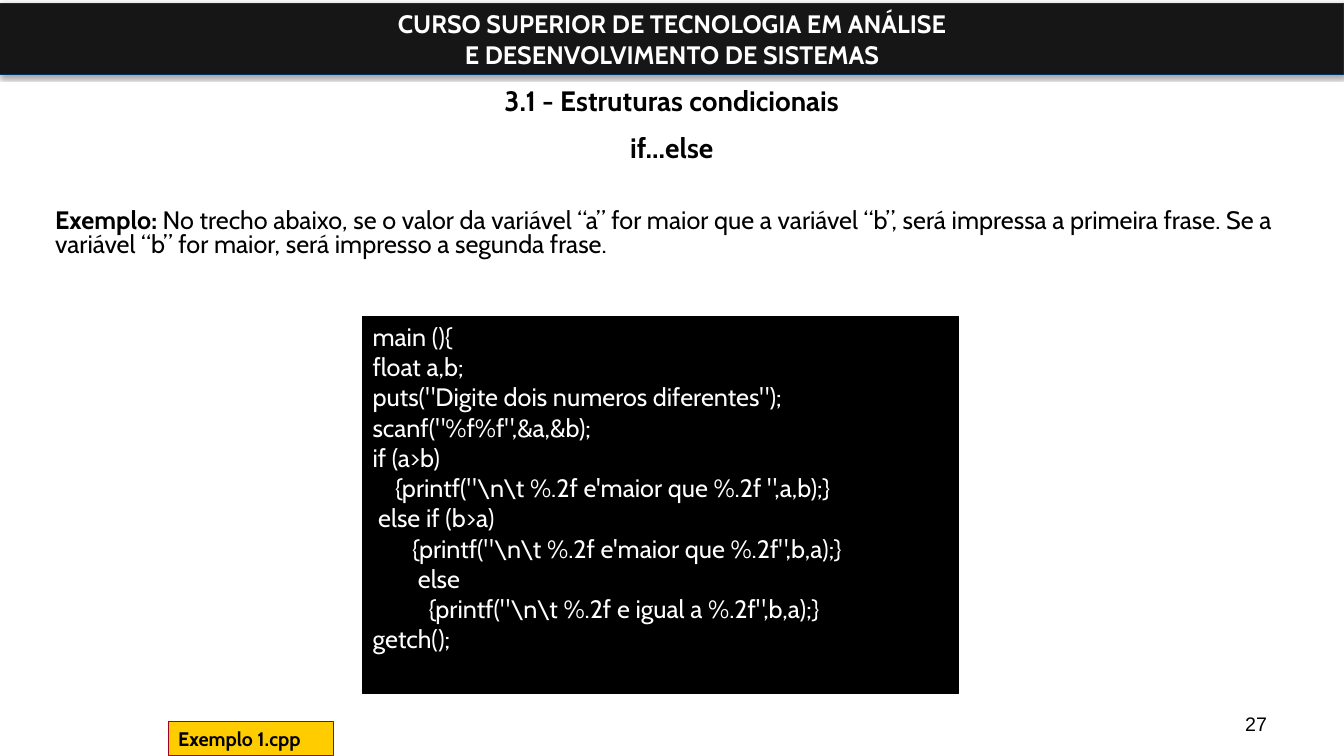
from lxml.etree import SubElement
from pptx import Presentation
from pptx.dml.color import RGBColor
from pptx.enum.shapes import MSO_SHAPE as Kind
from pptx.enum.text import MSO_ANCHOR as Anchor, PP_ALIGN as Align
from pptx.oxml.ns import qn
from pptx.util import Cm, Pt

BLACK = RGBColor(0, 0, 0)
WHITE = RGBColor(255, 255, 255)
COAL = RGBColor(0x16, 0x16, 0x16)
NAVY = RGBColor(0x00, 0x32, 0x64)
GOLD = RGBColor(0xFF, 0xCC, 0x00)
WINE = RGBColor(0xA5, 0x00, 0x21)

COURSE = ["CURSO SUPERIOR DE TECNOLOGIA EM ANÁLISE", "E DESENVOLVIMENTO DE SISTEMAS"]
TITLE = ["3.1 - Estruturas condicionais", "if...else"]
LABEL = "Exemplo:"
BODY = (" No trecho abaixo, se o valor da variável “a” for maior que a variável “b”, "
        "será impressa a primeira frase. Se a variável “b” for maior, "
        "será impresso a segunda frase.")
CODE = [
    "main (){",
    "float a,b;",
    'puts("Digite dois numeros diferentes");',
    'scanf("%f%f",&a,&b);',
    "if (a>b)",
    r"""    {printf("\n\t %.2f e'maior que %.2f ",a,b);}""",
    " else if (b>a)",
    r"""       {printf("\n\t %.2f e'maior que %.2f",b,a);}""",
    "        else",
    "\t" + r' {printf("\n\t %.2f e igual a %.2f",b,a);}',
    "getch();",
]


def style(para, size, color=BLACK, bold=False, font="Cabin"):
    for run in para.runs:
        run.font.name = font
        run.font.size = Pt(size)
        run.font.bold = bold
        run.font.color.rgb = color


def write(shape, lines, size, color=BLACK, bold=False, font="Cabin",
          align=Align.LEFT, anchor=Anchor.TOP, wrap=True):
    frame = shape.text_frame
    frame.word_wrap = wrap
    frame.vertical_anchor = anchor
    frame.text = "\n".join(lines)
    for para in frame.paragraphs:
        para.alignment = align
        style(para, size, color, bold, font)
    return frame


def add_box(slide, area, fill, line, width):
    box = slide.shapes.add_shape(Kind.RECTANGLE, *map(Cm, area))
    box.shadow.inherit = False
    box.fill.solid()
    box.fill.fore_color.rgb = fill
    box.line.color.rgb = line
    box.line.width = Pt(width)
    return box


def add_text(slide, area):
    return slide.shapes.add_textbox(*map(Cm, area))


def add_shade(box):
    """Give the box a soft black shadow straight below it."""
    effects = box.element.spPr.find(qn("a:effectLst"))
    shade = SubElement(effects, qn("a:outerShdw"), blurRad=str(Pt(3.1)),
                       dist=str(Pt(1.8)), dir="5400000", rotWithShape="0")
    color = SubElement(shade, qn("a:srgbClr"), val="000000")
    SubElement(color, qn("a:alpha"), val="35000")


def add_header(slide):
    box = add_box(slide, (0, 0.08, 33.87, 1.8), COAL, NAVY, 0.75)
    add_shade(box)
    write(box, COURSE, 18, WHITE, True, align=Align.CENTER, anchor=Anchor.MIDDLE)


def add_title(slide):
    box = add_text(slide, (1.69, 1.07, 30.48, 3.81))
    frame = write(box, TITLE, 20, bold=True, align=Align.CENTER, anchor=Anchor.MIDDLE)
    frame.margin_top = Cm(0.41)
    frame.paragraphs[1].space_before = Pt(9.5)


def add_body(slide):
    frame = write(add_text(slide, (1.14, 3.94, 31.8, 12.8)), [LABEL], 18, bold=True)
    frame.margin_top = Cm(1.35)
    para = frame.paragraphs[0]
    para.line_spacing = 0.8
    para.add_run().text = BODY
    style(para, 18)
    para.runs[0].font.bold = True


def main():
    deck = Presentation()
    deck.slide_width, deck.slide_height = Cm(33.87), Cm(19.05)
    slide = deck.slides.add_slide(deck.slide_layouts[6])
    add_header(slide)
    write(add_text(slide, (24.28, 17.35, 7.9, 1.32)), ["27"], 14, font="Arial",
          align=Align.RIGHT, anchor=Anchor.BOTTOM)
    add_title(slide)
    add_body(slide)
    write(add_box(slide, (9.14, 7.97, 15.01, 9.5), BLACK, BLACK, 1), CODE, 18, WHITE)
    write(add_box(slide, (4.24, 18.19, 4.17, 0.86), GOLD, WINE, 0.75),
          ["Exemplo 1.cpp"], 14, bold=True, wrap=False)
    deck.save("out.pptx")


if __name__ == "__main__":
    main()
